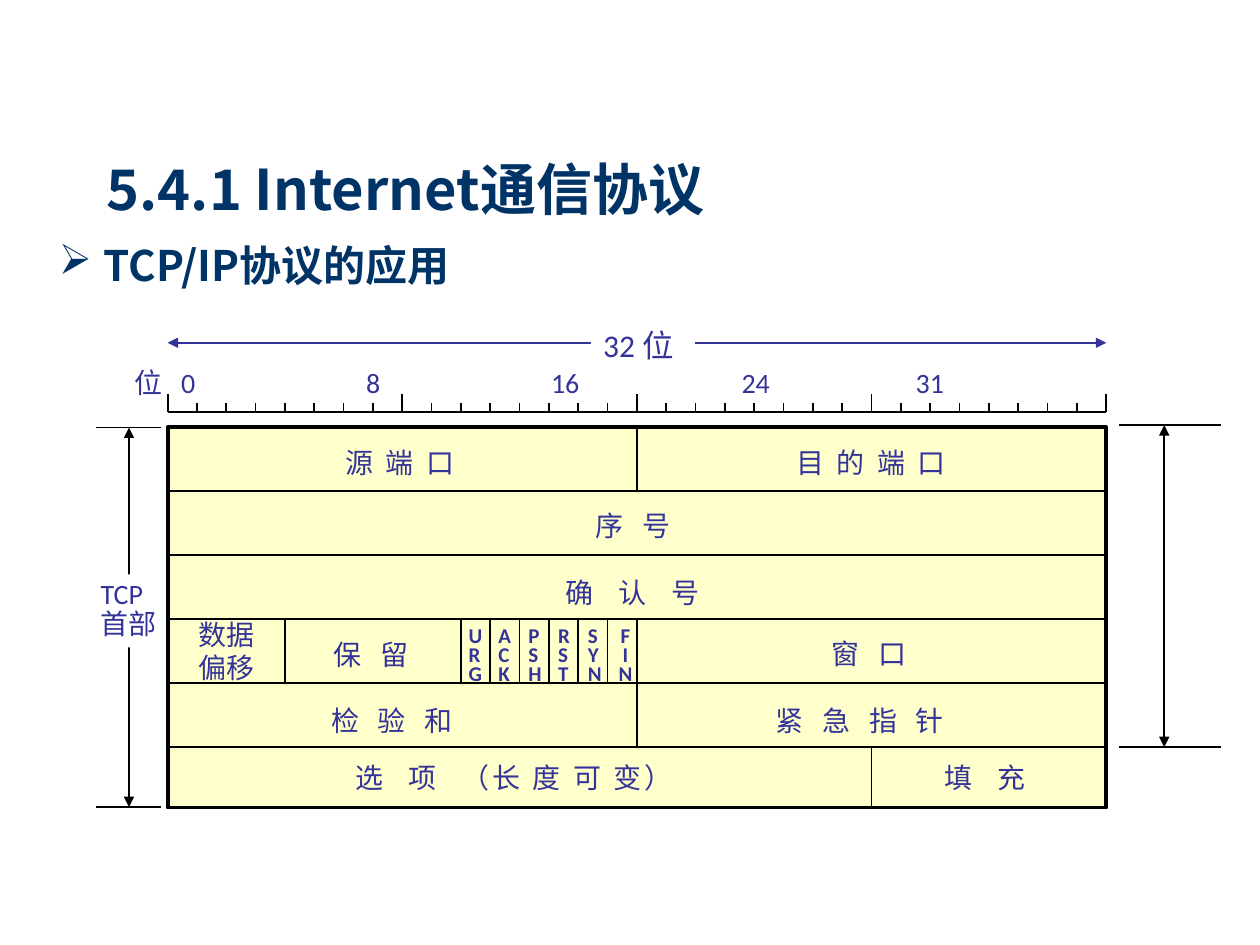
from pptx import Presentation
from pptx.dml.color import RGBColor
from pptx.enum.shapes import MSO_CONNECTOR, MSO_SHAPE
from pptx.enum.text import MSO_ANCHOR, PP_ALIGN
from pptx.oxml.ns import qn
from pptx.util import Cm, Pt
from lxml.etree import SubElement

NAVY = RGBColor(0x00, 0x33, 0x66)
INDIGO = RGBColor(0x33, 0x33, 0x99)
CREAM = RGBColor(0xFF, 0xFF, 0xCC)
BLACK = RGBColor(0x00, 0x00, 0x00)
WHITE = RGBColor(0xFF, 0xFF, 0xFF)
LATIN_FONT = "Calibri"
CJK_FONT = "Noto Sans CJK SC"

presentation = Presentation()
presentation.slide_width, presentation.slide_height = Cm(25.4), Cm(19.05)
slide = presentation.slides.add_slide(presentation.slide_layouts[6])


def add_line(x1, y1, x2, y2, color=BLACK, arrows=False):
    line = slide.shapes.add_connector(
        MSO_CONNECTOR.STRAIGHT, Cm(x1), Cm(y1), Cm(x2), Cm(y2))
    line.line.color.rgb = color
    line.line.width = Pt(1)
    if arrows:
        outline = line.line._get_or_add_ln()
        for end in ("a:headEnd", "a:tailEnd"):
            SubElement(outline, qn(end), type="triangle")
    SubElement(line._element.spPr, qn("a:effectLst"))


def add_text(text, left, top, width, height, size=16, color=INDIGO, bold=False,
             font=LATIN_FONT, line_spacing=None, tracking=0, fill=None):
    shape = slide.shapes.add_textbox(Cm(left), Cm(top), Cm(width), Cm(height))
    if fill is not None:
        shape.fill.solid()
        shape.fill.fore_color.rgb = fill
    text_frame = shape.text_frame
    text_frame.word_wrap = True
    text_frame.vertical_anchor = MSO_ANCHOR.TOP
    text_frame.text = text
    for paragraph in text_frame.paragraphs:
        paragraph.line_spacing = line_spacing
        for run in paragraph.runs:
            run.font.name = font
            run.font.size = Pt(size)
            run.font.bold = bold
            run.font.color.rgb = color
            properties = run._r.get_or_add_rPr()
            SubElement(properties, qn("a:ea"), typeface=CJK_FONT)
            if tracking:
                properties.set("spc", str(round(tracking * 100)))
    return shape


# Headings
title = add_text("5.4.1 Internet通信协议", 1.9, 3.12, 17.35, 1.9,
                 32, NAVY, True, CJK_FONT)
subtitle = add_text("TCP/IP协议的应用", 0.94, 4.83, 19.89, 1.9,
                    24, NAVY, True, CJK_FONT)
for heading in (title, subtitle):
    heading.text_frame.margin_top = 0
bullet_properties = subtitle.text_frame.paragraphs[0]._p.get_or_add_pPr()
bullet_properties.set("marL", str(Cm(0.9)))
bullet_properties.set("indent", str(Cm(-0.9)))
SubElement(bullet_properties, qn("a:buChar"), char="➢")

# Header grid: 32 bits across, six rows down
LEFT, TOP, WIDTH, HEIGHT = 3.38, 8.61, 18.92, 7.67
RIGHT, BOTTOM = LEFT + WIDTH, TOP + HEIGHT
BIT = WIDTH / 32
row_tops = [TOP + 1.29 * row for row in range(6)] + [BOTTOM]

# Height arrows beside the grid, with their end marks
for arrow_x, mark_left, mark_right, arrow_top, arrow_bottom in (
        (2.6, 1.94, 3.24, 8.62, 16.27), (23.47, 22.56, 24.61, 8.57, 15.06)):
    add_line(arrow_x, arrow_top, arrow_x, arrow_bottom, arrows=True)
    for mark_y in (arrow_top, arrow_bottom):
        add_line(mark_left, mark_y, mark_right, mark_y)
add_text("TCP\n首部", 1.78, 11.58, 1.66, 1.47, line_spacing=0.9, fill=WHITE)

# Grid frame, row lines and field dividers
frame = slide.shapes.add_shape(
    MSO_SHAPE.RECTANGLE, Cm(LEFT), Cm(TOP), Cm(WIDTH), Cm(HEIGHT))
frame.shadow.inherit = False
frame.fill.solid()
frame.fill.fore_color.rgb = CREAM
frame.line.color.rgb = BLACK
frame.line.width = Pt(2.25)
for row_y in row_tops[1:-1]:
    add_line(LEFT, row_y, RIGHT, row_y)
row_dividers = {0: [16], 3: [4, *range(10, 17)], 4: [16], 5: [24]}
for row, bits in row_dividers.items():
    for bit in bits:
        x = LEFT + bit * BIT
        add_line(x, row_tops[row], x, row_tops[row + 1])

# Field names: text, left, top, width, letter tracking in points
fields = [
    ("源 端 口", 6.71, 8.86, 3.2, 1.8),
    ("目 的 端 口", 15.8, 8.86, 4.1, 1.8),
    ("序 号", 11.76, 10.13, 2.5, 3.6),
    ("确 认 号", 11.15, 11.48, 4, 5.4),
    ("数据\n偏移", 3.76, 12.32, 1.8, 0),
    ("保 留", 6.48, 12.73, 2.5, 3.6),
    ("窗 口", 16.51, 12.7, 2.5, 3.6),
    ("检 验 和", 6.43, 14.05, 3.6, 3.6),
    ("紧 急 指 针", 15.39, 14.05, 4.6, 3.6),
    ("选 项 ", 6.91, 15.21, 8.2, 5.4),
    ("填 充", 18.8, 15.21, 2.7, 5.4),
]
for name, left, top, width, tracking in fields:
    field = add_text(name, left, top, width, 0.92, tracking=tracking)
    if name.startswith("选"):
        # The note in brackets is set tighter than the name
        paragraph = field.text_frame.paragraphs[0]
        note = paragraph.add_run()
        note.text = "（长 度 可 变）"
        note.font.name = LATIN_FONT
        note.font.size = Pt(16)
        note.font.color.rgb = INDIGO
        note._r.get_or_add_rPr().set("spc", "180")

# One-bit flags
for index, flag in enumerate(("URG", "ACK", "PSH", "RST", "SYN", "FIN")):
    box = add_text("\n".join(flag), 9.2 + 0.6 * index, 12.55, 0.82, 1.4,
                   12, bold=True, line_spacing=0.75)
    if flag == "FIN":
        for paragraph in box.text_frame.paragraphs:
            paragraph.alignment = PP_ALIGN.CENTER

# Total width arrow
add_line(LEFT, 6.91, RIGHT, 6.91, INDIGO, arrows=True)
add_text("32 位", 11.91, 6.45, 2.1, 1.02, 18, fill=WHITE)

# Bit ruler with a long tick every eight bits
add_line(LEFT, 8.31, RIGHT, 8.31)
for bit in range(33):
    x = LEFT + bit * BIT
    add_line(x, 7.95 if bit % 8 == 0 else 8.13, x, 8.31)
scale = add_text("位\t0\t8\t16\t24\t31", 2.46, 7.24, 20.24, 0.92)
scale_properties = scale.text_frame.paragraphs[0]._p.get_or_add_pPr()
tab_list = SubElement(scale_properties, qn("a:tabLst"))
for position in (0.94, 4.67, 8.4, 12.24, 15.75):
    SubElement(tab_list, qn("a:tab"), pos=str(Cm(position)), algn="l")

presentation.save("out.pptx")
